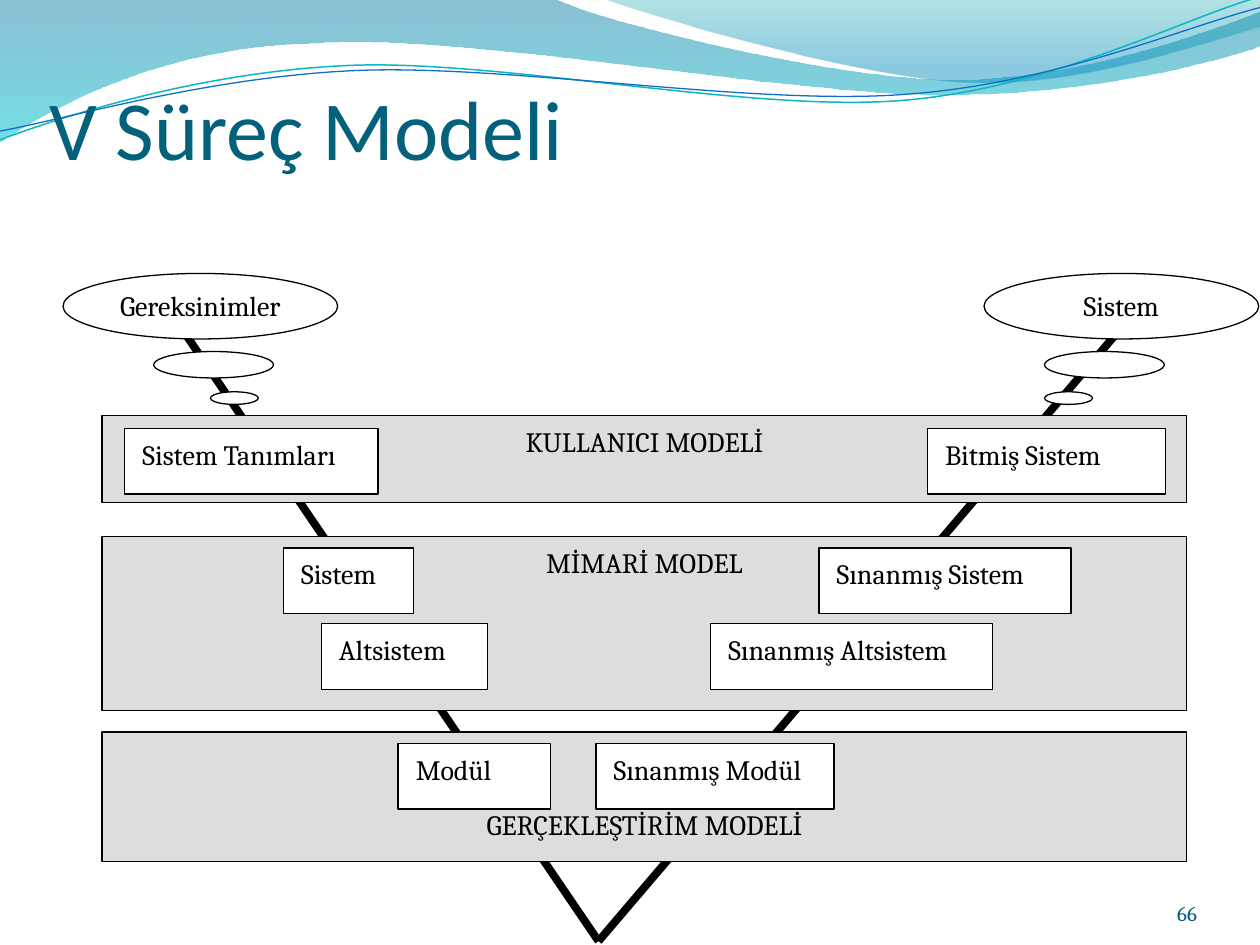
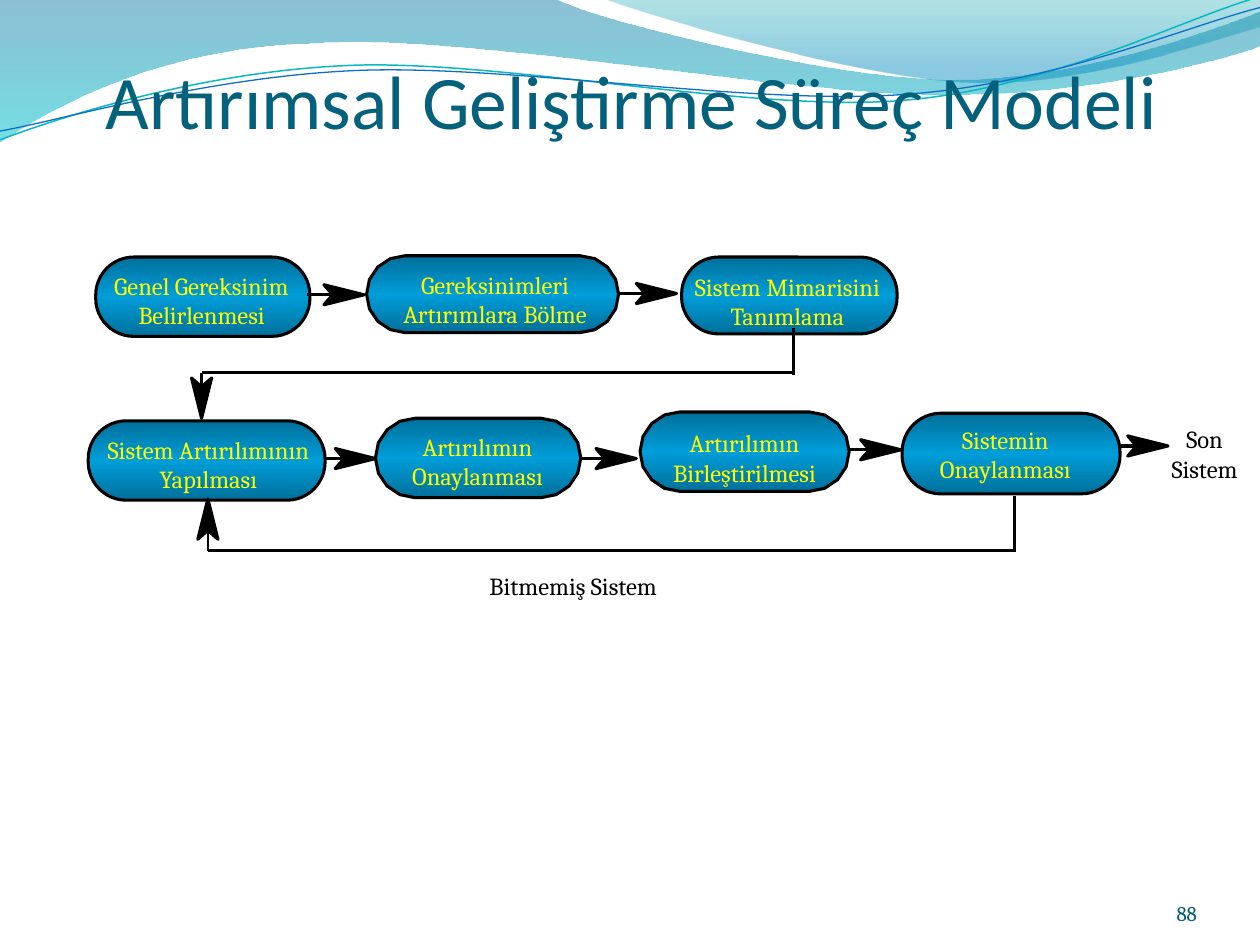
import math

from lxml import etree
from pptx import Presentation
from pptx.dml.color import RGBColor
from pptx.enum.shapes import MSO_CONNECTOR, MSO_SHAPE
from pptx.enum.text import MSO_ANCHOR, MSO_AUTO_SIZE, PP_ALIGN
from pptx.oxml.ns import qn
from pptx.util import Inches, Pt

RECTANGLE, OVAL, ROUNDED = MSO_SHAPE.RECTANGLE, MSO_SHAPE.OVAL, MSO_SHAPE.ROUNDED_RECTANGLE
STRAIGHT = MSO_CONNECTOR.STRAIGHT
LEFT, CENTER, RIGHT = PP_ALIGN.LEFT, PP_ALIGN.CENTER, PP_ALIGN.RIGHT
TOP, BOTTOM = MSO_ANCHOR.TOP, MSO_ANCHOR.BOTTOM

# Shared look; gradient stops are (position, colour, effect, percent)
TITLE_FONT, BODY_FONT = "Calibri", "Cambria"
TITLE_COLOR, NUMBER_COLOR = "04617B", "045D75"
BLACK, WHITE, GRAY, YELLOW = "000000", "FFFFFF", "DDDDDD", "FFFF00"
PILL_GRADIENT = [(0, "009DD9", "shade", 46), (50, "009DD9", "shade", 100),
                 (100, "009DD9", "shade", 46)]

# Header waves: a start point, then lines (x, y) or cubic curves (six numbers)
WAVE_BANDS = [
    ([(0, 0), (4.4, -0.01), (4.76, 0.17, 6.64, 0.63, 7.58, 0.63),
      (8.53, 0.63, 9.58, 0.26, 10, 0.09), (10.01, 0.36),
      (9.83, 0.44, 8.7, 0.76, 7.46, 0.75), (6.22, 0.75, 3.82, 0.28, 2.57, 0.34),
      (1.29, 0.36, 0.46, 0.83, -0.01, 1.13)],
     [(0, "0074A1", "alpha", 45), (100, "00C6CF", "alpha", 55)]),
    ([(4.79, -0.01), (5.09, 0.11, 6.82, 0.62, 7.69, 0.65),
      (8.56, 0.69, 9.61, 0.32, 10, 0.21), (10, 0)],
     [(0, "00A1A9", "alpha", 30), (80, "008BBF", "alpha", 45)]),
]
WAVE_LINES = [
    ([(0, 1.11), (0.48, 0.93, 1.58, 0.57, 2.77, 0.52),
      (3.95, 0.47, 5.93, 0.89, 7.13, 0.8), (8.33, 0.71, 9.38, 0.15, 9.98, -0.02)],
     "0AB8BF", 0.85),
    ([(0, 1.04), (0.47, 0.96, 1.64, 0.61, 2.83, 0.56),
      (4.03, 0.51, 5.97, 0.84, 7.17, 0.75), (8.36, 0.67, 9.41, 0.21, 10, 0.06)],
     "0F6FC6", 0.75),
]

# V model: legs, bands (name, top, height, text inset) and boxes
V_LEGS = [((1.43, 2.59), (4.75, 7.47)), ((4.75, 7.47), (8.91, 2.59))]
BAND_LEFT, BAND_WIDTH, BOX_HEIGHT = 0.81, 8.61, 0.52
MODEL_BANDS = [
    ("KULLANICI MODELİ", 3.3, 0.69, 0.07),
    ("MİMARİ MODEL", 4.26, 1.38, 0.07),
    ("GERÇEKLEŞTİRİM MODELİ", 5.81, 1.03, 0.6),
]
# Rows of boxes: top, then (text, left, width)
BOX_ROWS = [
    (3.4, [("Sistem Tanımları", 0.99, 2.01), ("Bitmiş Sistem", 7.36, 1.89)]),
    (4.35, [("Sistem", 2.25, 1.03), ("Sınanmış Sistem", 6.5, 2)]),
    (4.95, [("Altsistem", 2.55, 1.32), ("Sınanmış Altsistem", 5.64, 2.24)]),
    (5.9, [("Modül", 3.16, 1.21), ("Sınanmış Modül", 4.73, 1.89)]),
]
# Bubble trails: text and the left edge of each of the three bubbles
BUBBLE_SIZES = [(2.17, 2.18, 0.52), (2.79, 0.95, 0.21), (3.11, 0.38, 0.1)]
BUBBLE_TRAILS = [("Gereksinimler", (0.5, 1.22, 1.67)), ("Sistem", (7.81, 8.29, 8.29))]

# Incremental model: pill box, whether its ends are faceted, label lines, label box
STEPS = [
    ((0.76, 2.04, 1.7, 0.63), False, ["Genel Gereksinim", "Belirlenmesi"], (0.7, 2.1, 1.8, 0.5)),
    ((2.91, 2.03, 2, 0.61), True, ["Gereksinimleri", "Artırımlara Bölme"], (3.03, 2.09, 1.8, 0.5)),
    ((5.41, 2.04, 1.71, 0.61), False, ["Sistem Mimarisini Tanımlama"], (5.35, 2.11, 1.8, 0.5)),
    ((0.7, 3.34, 1.88, 0.63), False, ["Sistem Artırılımının", "Yapılması"], (0.7, 3.4, 1.91, 0.76)),
    ((2.98, 3.32, 1.63, 0.63), True, ["Artırılımın", "Onaylanması"], (2.89, 3.38, 1.8, 0.6)),
    ((5.08, 3.27, 1.66, 0.63), True, ["Artırılımın", "Birleştirilmesi"], (5.01, 3.35, 1.8, 0.69)),
    ((7.16, 3.28, 1.73, 0.64), False, ["Sistemin Onaylanması"], (7.08, 3.32, 1.8, 0.62)),
]
RESULTS = [(["Son", "Sistem"], (9.12, 3.32, 0.88, 0.5)),
           (["Bitmemiş Sistem"], (3.65, 4.48, 1.8, 0.37))]
# Arrows: start and tip
ARROWS = [
    ((2.44, 2.34), (2.89, 2.34)), ((4.91, 2.33), (5.37, 2.33)),
    ((2.57, 3.64), (2.98, 3.64)), ((4.61, 3.64), (5.05, 3.64)),
    ((6.73, 3.57), (7.15, 3.57)), ((8.88, 3.54), (9.27, 3.54)),
    ((1.6, 2.96), (1.6, 3.32)), ((1.65, 4.37), (1.65, 3.96)),
]
RETURN_LINES = [((6.3, 2.6), (6.3, 2.98)), ((6.3, 2.96), (1.6, 2.96)),
                ((8.05, 3.94), (8.05, 4.36)), ((8.06, 4.37), (1.65, 4.37))]
HEAD_LENGTH, HEAD_HALF, HEAD_NOTCH, SHAFT_GAP = 0.32, 0.08, 0.25, 0.2


def rgb(color):
    return RGBColor.from_string(color)


def box(values):
    return [Inches(value) for value in values]


def set_line(shape, color, width):
    shape.line.color.rgb = rgb(color)
    shape.line.width = Pt(width)


def set_fill(shape, color):
    shape.fill.solid()
    shape.fill.fore_color.rgb = rgb(color)


def set_gradient(shape, stops):
    """Vertical gradient from top to bottom."""
    shape.fill.gradient()
    shape.fill.gradient_angle = 270
    stop_list = shape._element.spPr.find(".//" + qn("a:gsLst"))
    for old_stop in list(stop_list):
        stop_list.remove(old_stop)
    for position, color, effect, percent in stops:
        stop = etree.SubElement(stop_list, qn("a:gs"), pos=str(position * 1000))
        paint = etree.SubElement(stop, qn("a:srgbClr"), val=color)
        if percent < 100:
            etree.SubElement(paint, qn("a:" + effect), val=str(percent * 1000))


def set_text(shape, lines, size, color, align=LEFT, anchor=TOP,
             insets=(0.1, 0.05, 0.1, 0.05), font=BODY_FONT):
    frame = shape.text_frame
    frame.word_wrap = True
    frame.auto_size = MSO_AUTO_SIZE.NONE
    frame.vertical_anchor = anchor
    (frame.margin_left, frame.margin_top,
     frame.margin_right, frame.margin_bottom) = box(insets)
    for index, line in enumerate(lines):
        paragraph = frame.add_paragraph() if index else frame.paragraphs[0]
        paragraph.alignment = align
        run = paragraph.add_run()
        run.text = line
        run.font.name, run.font.size = font, Pt(size)
        run.font.color.rgb = rgb(color)


def add_label(slide, lines, place, size, color, **options):
    set_text(slide.shapes.add_textbox(*box(place)), lines, size, color, **options)


def add_shape(slide, kind, place, color=WHITE):
    shape = slide.shapes.add_shape(kind, *box(place))
    shape.shadow.inherit = False
    set_fill(shape, color)
    set_line(shape, BLACK, 0.75)
    return shape


def add_line(slide, start, end, width):
    line = slide.shapes.add_connector(STRAIGHT, *box(start + end))
    set_line(line, BLACK, width)
    etree.SubElement(line._element.spPr, qn("a:effectLst"))


def add_outline(slide, points, close=True):
    points = [box(point) for point in points]
    builder = slide.shapes.build_freeform(*points[0], scale=1.0)
    builder.add_line_segments(points[1:], close=close)
    shape = builder.convert_to_shape()
    shape.shadow.inherit = False
    return shape


def add_wave(slide, segments, close):
    """Draw the end points as an outline, then bend the cubic segments."""
    shape = add_outline(slide, [segment[-2:] for segment in segments], close)
    sides = shape._element.spPr.findall(".//" + qn("a:lnTo"))
    for side, segment in zip(sides, segments[1:]):
        if len(segment) == 6:
            side.tag = qn("a:cubicBezTo")
            for index in (0, 1):
                x, y = box(segment[2 * index:2 * index + 2])
                control = etree.Element(qn("a:pt"), x=str(x - shape.left), y=str(y - shape.top))
                side.insert(index, control)
    return shape


def add_pill(slide, place, faceted):
    if faceted:
        left, top, width, height = place
        radius = height / 2
        ends = [(left + width - radius, -90), (left + radius, 90)]
        points = [(center + radius * math.cos(math.radians(first + 22.5 * step)),
                   top + radius + radius * math.sin(math.radians(first + 22.5 * step)))
                  for center, first in ends for step in range(9)]
        shape = add_outline(slide, points)
    else:
        shape = add_shape(slide, ROUNDED, place)
        shape.adjustments[0] = 0.48
    set_gradient(shape, PILL_GRADIENT)
    set_line(shape, BLACK, 1.75)


def add_flow_line(slide, start, end):
    add_line(slide, start, end, 1.5 if start[0] == end[0] else 1.75)


def add_arrow(slide, start, tip):
    length = math.dist(start, tip)
    along = [(tip[axis] - start[axis]) / length for axis in (0, 1)]

    def behind_tip(back, side):
        return (tip[0] - back * along[0] - side * along[1],
                tip[1] - back * along[1] + side * along[0])

    add_flow_line(slide, start, behind_tip(SHAFT_GAP, 0))
    head = add_outline(slide, [tip, behind_tip(HEAD_LENGTH, HEAD_HALF),
                               behind_tip(HEAD_NOTCH, 0),
                               behind_tip(HEAD_LENGTH, -HEAD_HALF)])
    set_fill(head, BLACK)
    set_line(head, BLACK, 1.75)


def move_waves_to_layout(slide):
    """Draw the header waves once and hand them to the slide's layout."""
    waves = []
    for segments, stops in WAVE_BANDS:
        band = add_wave(slide, segments, close=True)
        set_gradient(band, stops)
        band.line.fill.background()
        waves.append(band)
    for segments, color, width in WAVE_LINES:
        wave = add_wave(slide, segments, close=False)
        wave.fill.background()
        set_line(wave, color, width)
        waves.append(wave)
    for wave in waves:
        slide.slide_layout.shapes._spTree.append(wave._element)


def start_slide(presentation, title_text, title_place, title_size, number):
    slide = presentation.slides.add_slide(presentation.slide_layouts[5])
    title = slide.shapes.title
    title.left, title.top, title.width, title.height = box(title_place)
    set_text(title, [title_text], title_size, TITLE_COLOR, anchor=BOTTOM,
             insets=(0, 0.05, 0, 0), font=TITLE_FONT)
    add_label(slide, [number], (8.67, 6.95, 0.83, 0.4), 12, NUMBER_COLOR,
              align=RIGHT, anchor=BOTTOM, insets=(0, 0, 0, 0))
    return slide


def build_v_model(presentation):
    slide = start_slide(presentation, "V Süreç Modeli", (0.39, 0.16, 9, 1.25), 48, "66")
    move_waves_to_layout(slide)
    for start, end in V_LEGS:
        add_line(slide, start, end, 4.5)
    for name, top, height, inset in MODEL_BANDS:
        band = add_shape(slide, RECTANGLE, (BAND_LEFT, top, BAND_WIDTH, height), GRAY)
        set_text(band, [name], 16, BLACK, CENTER, insets=(0.14, inset, 0.14, 0.07))
    for top, boxes in BOX_ROWS:
        for text, left, width in boxes:
            stage = add_shape(slide, RECTANGLE, (left, top, width, BOX_HEIGHT))
            set_text(stage, [text], 16, BLACK, insets=(0.14, 0.07, 0.14, 0.07))
    for text, lefts in BUBBLE_TRAILS:
        bubbles = [add_shape(slide, OVAL, (left, *size))
                   for left, size in zip(lefts, BUBBLE_SIZES)]
        set_text(bubbles[0], [text], 16, BLACK, CENTER, insets=(0.08, 0.04, 0.08, 0.04))


def build_incremental_model(presentation):
    slide = start_slide(presentation, "Artırımsal Geliştirme Süreç Modeli",
                        (0.84, 0.3, 8.8, 0.85), 43.2, "88")
    for place, faceted, _, _ in STEPS:
        add_pill(slide, place, faceted)
    for start, end in RETURN_LINES:
        add_flow_line(slide, start, end)
    for start, tip in ARROWS:
        add_arrow(slide, start, tip)
    for _, _, lines, place in STEPS:
        add_label(slide, lines, place, 14, YELLOW, align=CENTER)
    for lines, place in RESULTS:
        add_label(slide, lines, place, 14, BLACK, align=CENTER)


def main():
    presentation = Presentation()
    presentation.slide_width, presentation.slide_height = Inches(10), Inches(7.5)
    build_v_model(presentation)
    build_incremental_model(presentation)
    presentation.save("out.pptx")


if __name__ == "__main__":
    main()
